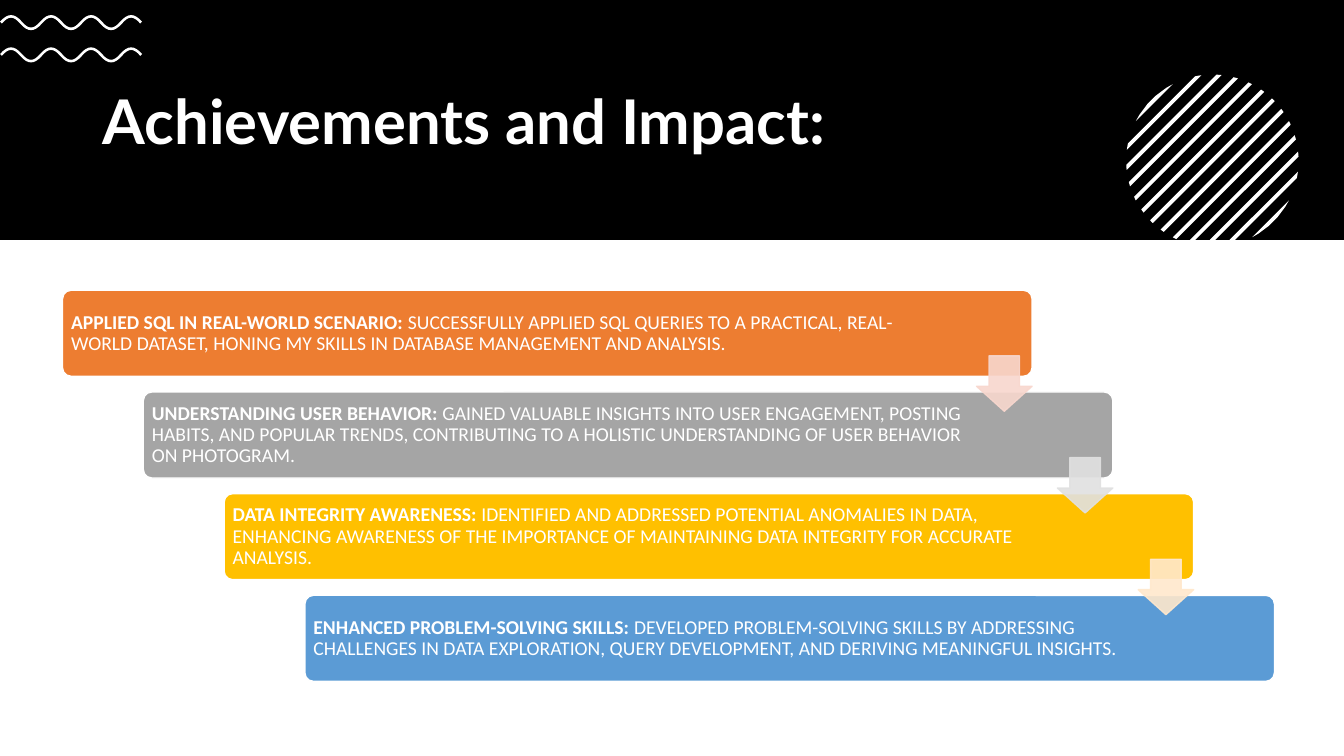
from math import acos, cos, pi, sin, sqrt

from lxml.etree import SubElement
from pptx import Presentation
from pptx.dml.color import RGBColor
from pptx.enum.shapes import MSO_SHAPE
from pptx.enum.text import MSO_ANCHOR, PP_ALIGN
from pptx.oxml.ns import qn
from pptx.util import Inches, Pt

SLIDE_W, SLIDE_H = 13.33, 7.5
BAND_H = 2.38
COLORS = {
    "black": "000000", "white": "FFFFFF",
    "orange": "ED7D31", "gray": "A5A5A5", "gold": "FFC000", "blue": "5B9BD5",
    "pale orange": "F8D7CE", "pale gray": "E1E1E1", "pale gold": "FFE8CC",
}
# Heading, detail, bar colour, colour of the arrow to the next bar, text share of bar width
ACHIEVEMENTS = [
    ("APPLIED SQL IN REAL-WORLD SCENARIO:",
     " SUCCESSFULLY APPLIED SQL QUERIES TO A PRACTICAL, REAL-WORLD DATASET, "
     "HONING MY SKILLS IN DATABASE MANAGEMENT AND ANALYSIS.",
     "orange", "pale orange", 0.9),
    ("UNDERSTANDING USER BEHAVIOR:",
     " GAINED VALUABLE INSIGHTS INTO USER ENGAGEMENT, POSTING HABITS, AND POPULAR "
     "TRENDS, CONTRIBUTING TO A HOLISTIC UNDERSTANDING OF USER BEHAVIOR ON PHOTOGRAM.",
     "gray", "pale gray", 0.86),
    ("DATA INTEGRITY AWARENESS:",
     " IDENTIFIED AND ADDRESSED POTENTIAL ANOMALIES IN DATA, ENHANCING AWARENESS OF "
     "THE IMPORTANCE OF MAINTAINING DATA INTEGRITY FOR ACCURATE ANALYSIS.",
     "gold", "pale gold", 0.86),
    ("ENHANCED PROBLEM-SOLVING SKILLS:",
     " DEVELOPED PROBLEM-SOLVING SKILLS BY ADDRESSING CHALLENGES IN DATA EXPLORATION, "
     "QUERY DEVELOPMENT, AND DERIVING MEANINGFUL INSIGHTS.",
     "blue", None, 0.86),
]


def rgb(color):
    return RGBColor.from_string(COLORS[color])


def paint(shape, fill, line=None):
    shape.shadow.inherit = False
    shape.fill.solid()
    shape.fill.fore_color.rgb = rgb(fill)
    if line:
        shape.line.color.rgb = rgb(line)
        shape.line.width = Pt(1)
    else:
        shape.line.fill.background()


def add_preset(parent, preset, box, fill, line=None, adjustments=()):
    shape = parent.shapes.add_shape(preset, *map(Inches, box))
    paint(shape, fill, line)
    for index, value in enumerate(adjustments):
        shape.adjustments[index] = value
    return shape


def add_outline(parent, points, fill):
    start, *rest = [(Inches(x), Inches(y)) for x, y in points]
    builder = parent.shapes.build_freeform(*start)
    builder.add_line_segments(rest, close=True)
    outline = builder.convert_to_shape()
    paint(outline, fill)
    return outline


def add_header(slide, box):
    """Black band with the title on it."""
    left, top, width, height = box
    band = add_preset(slide, MSO_SHAPE.RECTANGLE, box, "black")
    title = slide.shapes.title
    title.element.addprevious(band.element)
    title.left, title.top = Inches(left + 0.92), Inches(top + 0.62)
    title.width, title.height = Inches(width - 1.83), Inches(1.23)
    frame = title.text_frame
    frame.text = "Achievements and Impact:"
    frame.word_wrap = True
    frame.vertical_anchor = MSO_ANCHOR.MIDDLE
    heading = frame.paragraphs[0]
    heading.alignment = PP_ALIGN.LEFT
    heading.line_spacing = 0.9
    heading.font.name, heading.font.size, heading.font.bold = "Lato", Pt(44), True
    heading.font.color.rgb = rgb("white")


def add_wave(parent, box, bends=7, thickness=0.026):
    """Ribbon of even thickness; each bend of each edge is one curve."""
    left, top, width, height = box
    middle = top + height / 2
    amplitude = (height - thickness) / 2
    slope = pi * amplitude * bends / width
    rise = thickness / 2 / sqrt(1 + slope ** 2)

    def edge(side):
        """Joints with two control points between neighbours; side is -1 above, 1 below."""
        joints = [(left + width * bend / bends + side * (-1) ** bend * slope * rise,
                   middle + side * rise) for bend in range(bends + 1)]
        points = joints[:1]
        for bend, ((x0, y), (x1, _)) in enumerate(zip(joints, joints[1:])):
            peak = middle - (-1) ** bend * amplitude + side * thickness / 2
            control_y = y + 4 / 3 * (peak - y)
            reach = 0.36 * (x1 - x0)
            points += [(x0 + reach, control_y), (x1 - reach, control_y), (x1, y)]
        return points

    ribbon = add_outline(parent, edge(-1) + edge(1)[::-1], "white")
    # Join every three segments of an edge into a curve; the ribbon's end stays straight
    segments = list(ribbon.element.iter(qn("a:lnTo")))
    end_cap = 3 * bends
    for first in [*range(0, end_cap, 3), *range(end_cap + 1, 2 * end_cap + 1, 3)]:
        curve = segments[first]
        curve.tag = qn("a:cubicBezTo")
        for segment in segments[first + 1:first + 3]:
            curve.append(segment[0])
            segment.getparent().remove(segment)


def add_striped_disc(parent, box, bottom, stripes=13, pitch=0.139, thickness=0.038, steps=2):
    """Diagonal stripes trimmed to a disc, and cut off at the bottom edge."""
    left, top, size, _ = box
    radius = size / 2

    def rim(distance, side):
        angle = pi / 4 + side * acos(distance / radius)
        x = left + radius + radius * cos(angle)
        y = top + radius + radius * sin(angle)
        overshoot = max(0, y - bottom)
        return x + overshoot, y - overshoot

    for stripe in range(stripes):
        middle = (stripe - (stripes - 1) / 2) * pitch
        near = max(-radius, middle - thickness / 2)
        far = min(radius, middle + thickness / 2)
        cuts = [near + (far - near) * step / steps for step in range(steps + 1)]
        outline = [rim(cut, -1) for cut in cuts] + [rim(cut, 1) for cut in cuts[::-1]]
        add_outline(parent, outline, "white")


def add_achievement(parent, box, heading, detail, color, text_share):
    """Coloured bar with its text."""
    left, top, width, height = box
    add_preset(parent, MSO_SHAPE.ROUNDED_RECTANGLE, box, color, "white", [0.1])
    pad = 0.025
    text_box = (left + pad, top + pad, width * text_share - 2 * pad, height - 2 * pad)
    frame = parent.shapes.add_textbox(*map(Inches, text_box)).text_frame
    frame.word_wrap = True
    frame.vertical_anchor = MSO_ANCHOR.MIDDLE
    frame.margin_left = frame.margin_right = Inches(0.06)
    frame.margin_top = frame.margin_bottom = Inches(0.06)
    statement = frame.paragraphs[0]
    statement.line_spacing = 0.9
    statement.font.name, statement.font.size = "Calibri", Pt(14)
    statement.font.color.rgb = rgb("white")
    for text, bold in ((heading, True), (detail, False)):
        run = statement.add_run()
        run.text = text
        run.font.bold = bold


def add_staircase(parent, box):
    """Bars stepping down to the right, linked by arrows."""
    left, top, width, height = box
    bar_w, bar_h = 0.8 * width, 0.22 * height
    gaps = len(ACHIEVEMENTS) - 1
    step_x, step_y = (width - bar_w) / gaps, (height - bar_h) / gaps
    for row, (heading, detail, color, _, text_share) in enumerate(ACHIEVEMENTS):
        bar = (left + row * step_x, top + row * step_y, bar_w, bar_h)
        add_achievement(parent, bar, heading, detail, color, text_share)

    # Arrows lie over the bars, flush with each bar's right edge
    size = 0.55
    for row, (_, _, _, color, _) in enumerate(ACHIEVEMENTS[:-1]):
        arrow_box = (left + row * step_x + bar_w - size, top + row * step_y + 0.65, size, size)
        arrow = add_preset(parent, MSO_SHAPE.DOWN_ARROW, arrow_box, color, color, [0.55, 0.45])
        for tint in arrow.element.spPr.iter(qn("a:srgbClr")):
            SubElement(tint, qn("a:alpha"), val="90000")


def main():
    deck = Presentation()
    deck.slide_width, deck.slide_height = Inches(SLIDE_W), Inches(SLIDE_H)
    slide = deck.slides.add_slide(deck.slide_layouts[5])
    add_header(slide, (0, 0, SLIDE_W, BAND_H))
    waves, disc, staircase = (slide.shapes.add_group_shape() for _ in range(3))
    for wave_top in (0.47, 0.15):
        add_wave(waves, (0.01, wave_top, 1.39, 0.15))
    add_striped_disc(disc, (11.17, 0.74, 1.71, 1.71), BAND_H)
    add_staircase(staircase, (0.62, 2.88, 12.02, 3.88))
    deck.save("out.pptx")


if __name__ == "__main__":
    main()
